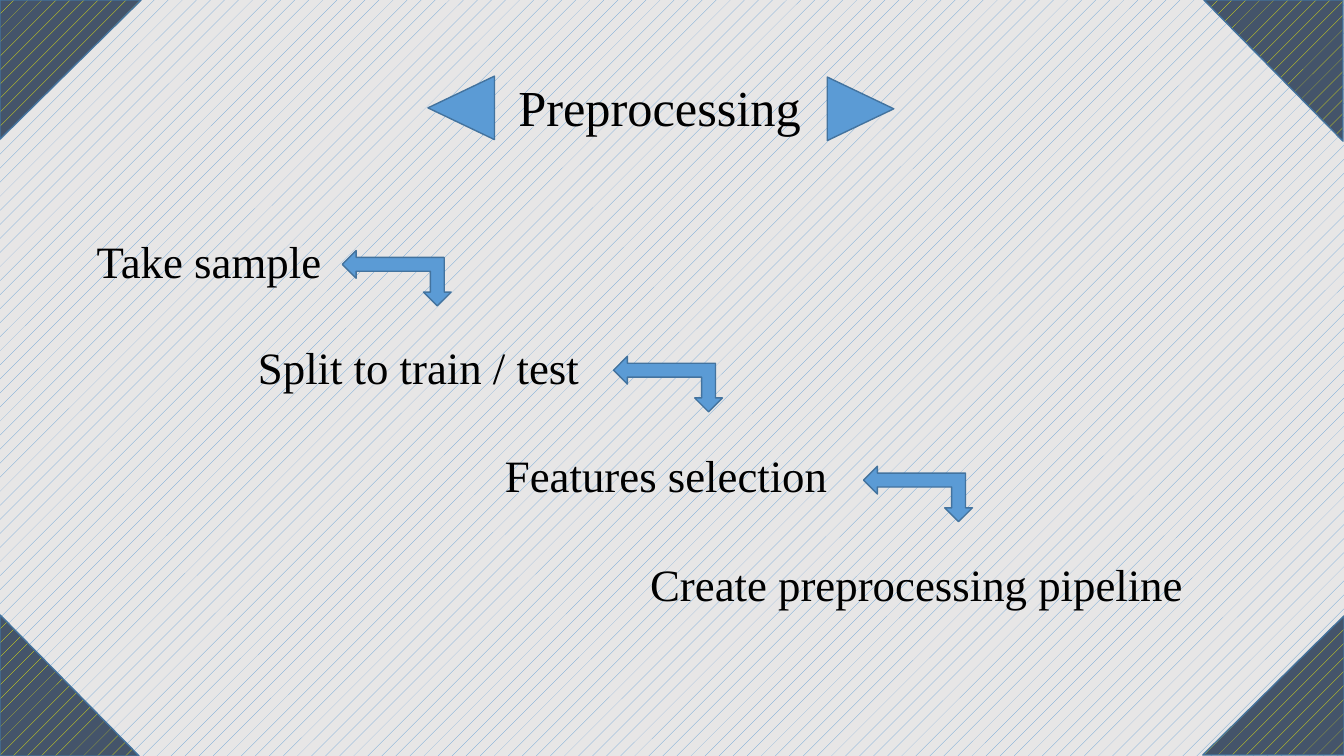
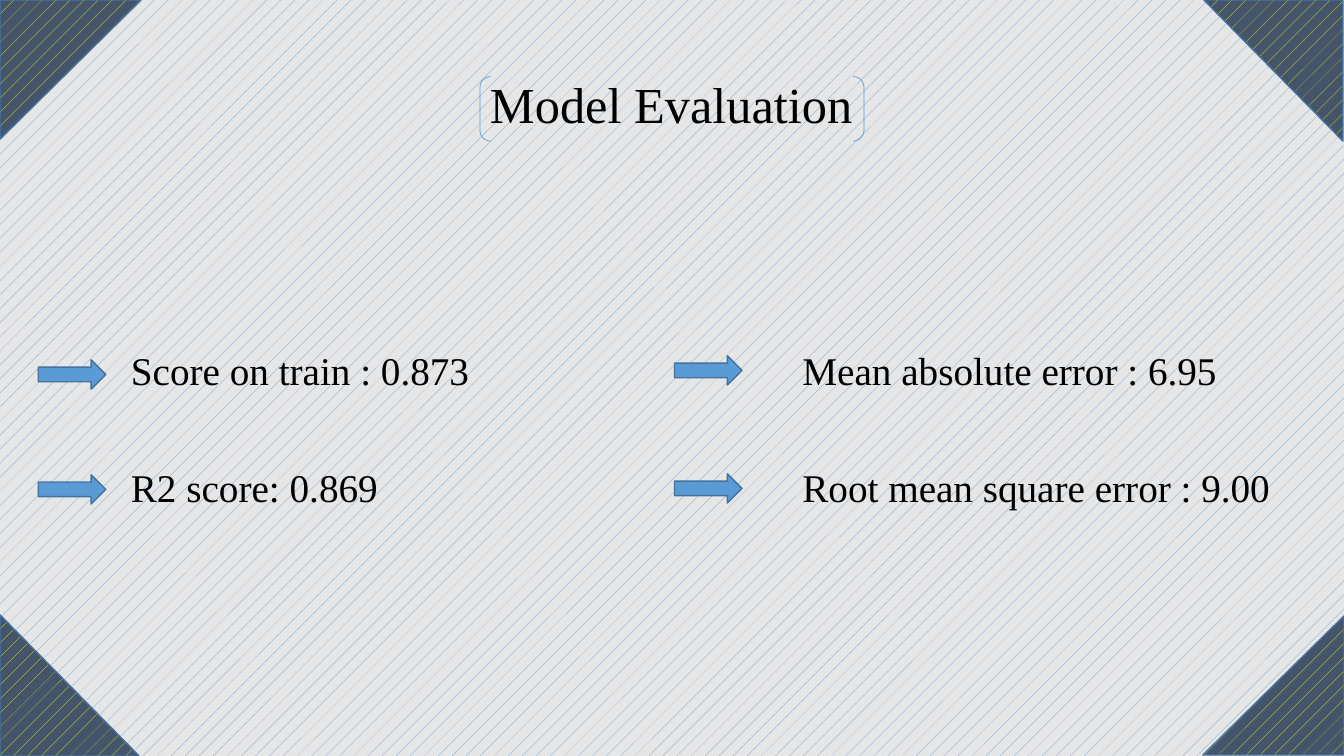
import pptx
import pptx.dml.color
import pptx.enum.dml
import pptx.enum.shapes
import pptx.enum.text
import pptx.util

Inches = pptx.util.Inches
Pt = pptx.util.Pt
color = pptx.dml.color.RGBColor.from_string
SHAPE = pptx.enum.shapes.MSO_SHAPE
DOTS = pptx.enum.dml.MSO_PATTERN.PERCENT_5

# Shared style
FONT = "Times New Roman"
BLACK, BLUE, OUTLINE = "000000", "5B9BD5", "43739E"
GRAY, NAVY, YELLOW = "E7E6E6", "44546A", "FFFF00"
CORNER_WIDTH, CORNER_HEIGHT = 1.38, 1.4


def write_text(shape, text, size):
    frame = shape.text_frame
    frame.word_wrap = True
    frame.auto_size = pptx.enum.text.MSO_AUTO_SIZE.NONE
    frame.vertical_anchor = pptx.enum.text.MSO_ANCHOR.TOP
    paragraph = frame.paragraphs[0]
    paragraph.alignment = pptx.enum.text.PP_ALIGN.LEFT
    run = paragraph.add_run()
    run.text = text
    run.font.name = FONT
    run.font.size = Pt(size)
    run.font.color.rgb = color(BLACK)


def draw_shape(slide, kind, left, top, width, height, rotation=0,
               fill=BLUE, pattern=None, line=OUTLINE, weight=1):
    shape = slide.shapes.add_shape(
        kind, Inches(left), Inches(top), Inches(width), Inches(height))
    shape.rotation = rotation
    shape.shadow.inherit = False
    if pattern:
        shape.fill.patterned()
        shape.fill.pattern = DOTS
        shape.fill.fore_color.rgb = color(pattern)
        shape.fill.back_color.rgb = color(fill)
    elif fill:
        shape.fill.solid()
        shape.fill.fore_color.rgb = color(fill)
    else:
        shape.fill.background()
    shape.line.color.rgb = color(line)
    shape.line.width = Pt(weight)


presentation = pptx.Presentation()
presentation.slide_width = Inches(13.33)
presentation.slide_height = Inches(7.5)

# Patterned background on the layout that both slides use
layout = presentation.slide_layouts.get_by_name("Title Only")
background = layout.background.fill
background.patterned()
background.pattern = DOTS
background.fore_color.rgb = color(BLUE)
background.back_color.rgb = color(GRAY)

# Both slides: title and four corner triangles
corner_right = 13.32 - CORNER_WIDTH
corner_bottom = 7.5 - CORNER_HEIGHT
corners = [(0, corner_bottom, 0), (corner_right, 0, 180),
           (corner_right, corner_bottom, 270), (0.01, -0.01, 90)]
titles = [("Preprocessing", 5.04, 0.7, 3.17),
          ("Model Evaluation", 4.76, 0.68, 4)]
slides = []
for text, left, top, width in titles:
    slide = presentation.slides.add_slide(layout)
    for corner_left, corner_top, rotation in corners:
        draw_shape(slide, SHAPE.RIGHT_TRIANGLE, corner_left, corner_top,
                   CORNER_WIDTH, CORNER_HEIGHT, rotation,
                   fill=NAVY, pattern=YELLOW)
    title = slide.shapes.title
    title.left, title.top = Inches(left), Inches(top)
    title.width, title.height = Inches(width), Inches(0.71)
    write_text(title, text, size=36)
    slides.append(slide)
preprocessing, evaluation = slides

# Preprocessing: triangles beside the title
for left, top, rotation in [(8.22, 0.75, 90), (4.26, 0.74, 270)]:
    draw_shape(preprocessing, SHAPE.FLOWCHART_EXTRACT, left, top,
               0.63, 0.66, rotation)

# Preprocessing: staircase of steps
steps = [("Take sample", 0.86, 2.27, 2.53),
         ("Split to train / test", 2.46, 3.32, 3.45),
         ("Features selection", 4.91, 4.39, 3.7),
         ("Create preprocessing pipeline", 6.35, 5.47, 5.63)]
for text, left, top, width in steps:
    box = preprocessing.shapes.add_textbox(
        Inches(left), Inches(top), Inches(width), Inches(0.64))
    write_text(box, text, size=32)
for left, top in [(3.66, 2.22), (6.35, 3.27), (8.83, 4.36)]:
    draw_shape(preprocessing, SHAPE.LEFT_UP_ARROW, left, top, 0.55, 1.08, 270)

# Model evaluation: brackets around the title
draw_shape(evaluation, SHAPE.DOUBLE_BRACKET, 4.76, 0.76, 3.81, 0.64,
           fill=None, line=BLUE, weight=0.5)

# Model evaluation: two columns of scores, each with an arrow
columns = [
    (0.38, 1.2, [("Score on train : 0.873", 3.57), ("R2 score: 0.869", 4.71)]),
    (6.69, 7.86, [("Mean absolute error : 6.95", 3.53),
                  ("Root mean square error : 9.00", 4.7)]),
]
for arrow_left, text_left, scores in columns:
    for row, (text, arrow_top) in enumerate(scores):
        box = evaluation.shapes.add_textbox(
            Inches(text_left), Inches(3.39 + row * 1.16),
            Inches(5.02), Inches(0.57))
        write_text(box, text, size=28)
        draw_shape(evaluation, SHAPE.RIGHT_ARROW, arrow_left, arrow_top,
                   0.67, 0.29)

presentation.save("out.pptx")
